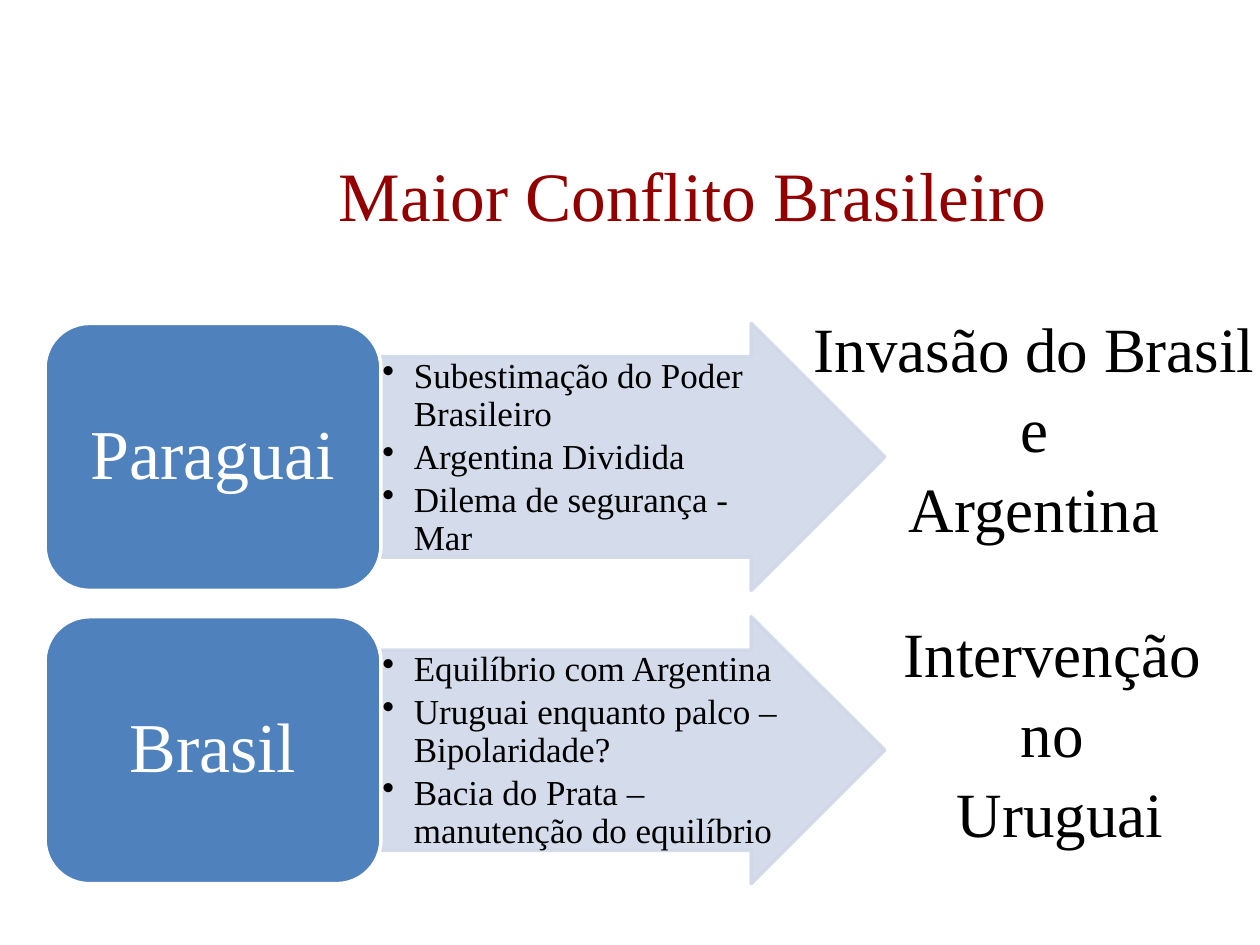
from lxml.etree import SubElement
from pptx import Presentation
from pptx.dml.color import RGBColor
from pptx.enum.shapes import MSO_SHAPE
from pptx.enum.text import MSO_ANCHOR, MSO_AUTO_SIZE, PP_ALIGN
from pptx.oxml.ns import qn
from pptx.util import Pt

FONT = "Times New Roman"
ROW_TOP, ROW_PITCH, ROW_HEIGHT = 184.8, 167.6, 152.6
ROWS = [
    ("Paraguai", ["Subestimação do Poder Brasileiro", "Argentina Dividida", "Dilema de segurança - Mar"]),
    ("Brasil", ["Equilíbrio com Argentina", "Uruguai enquanto palco – Bipolaridade?",
                "Bacia do Prata – manutenção do equilíbrio"]),
]
OUTCOMES = [
    ((456.5, 170.6, 278, 138.2), ["Invasão do Brasil ", "e ", "Argentina "]),
    ((508.3, 344.9, 195, 138.2), ["Intervenção ", "no ", "Uruguai"]),
]


def color(value):
    """Turn a hex string into a colour."""
    return RGBColor.from_string(value)


def place(lengths):
    """Turn point values into lengths."""
    return [Pt(length) for length in lengths]


def set_margins(frame, side, vertical):
    """Set the inner margins of a text frame."""
    frame.margin_left = frame.margin_right = Pt(side)
    frame.margin_top = frame.margin_bottom = Pt(vertical)


def write_lines(frame, lines, size, hex_color, align=PP_ALIGN.CENTER, spacing=None):
    """Write one paragraph per line with a shared format."""
    for index, line in enumerate(lines):
        para = frame.add_paragraph() if index else frame.paragraphs[0]
        para.alignment = align
        para.line_spacing = spacing
        span = para.add_run()
        span.text = line
        span.font.name = FONT
        span.font.size = Pt(size)
        span.font.color.rgb = color(hex_color)


def add_bullet(para, indent):
    """Give a paragraph a hanging round bullet."""
    properties = para._p.get_or_add_pPr()
    properties.set("marL", str(Pt(indent)))
    properties.set("indent", str(-Pt(indent)))
    SubElement(properties, qn("a:buChar"), char="•")


def add_shape(page, preset, lengths, fill, line):
    """Add a filled preset shape with a two-point outline."""
    shape = page.shapes.add_shape(preset, *place(lengths))
    shape.shadow.inherit = False
    shape.fill.solid()
    shape.fill.fore_color.rgb = color(fill)
    shape.line.color.rgb = color(line)
    shape.line.width = Pt(2)
    return shape


def add_arrow(page, top):
    """Add a translucent arrow for one row."""
    arrow = add_shape(page, MSO_SHAPE.RIGHT_ARROW, (217.6, top, 288, ROW_HEIGHT), "D0D8E8", "D0D8E8")
    arrow.adjustments[0] = 0.75
    arrow.adjustments[1] = 0.5
    for tint in arrow._element.spPr.iter(qn("a:srgbClr")):
        SubElement(tint, qn("a:alpha"), val="90000")


def add_points(page, top, points):
    """Add the bulleted list that lies on an arrow."""
    box = page.shapes.add_textbox(*place((217.6, top + ROW_HEIGHT / 8, 231, ROW_HEIGHT * 0.75)))
    frame = box.text_frame
    frame.word_wrap = True
    set_margins(frame, 0.9, 0.9)
    write_lines(frame, points, 20, "000000", PP_ALIGN.LEFT, 0.9)
    for para in frame.paragraphs:
        para.space_after = Pt(3)
        add_bullet(para, 18)


def add_country(page, top, name):
    """Add the rounded label of one row."""
    label = add_shape(page, MSO_SHAPE.ROUNDED_RECTANGLE, (25.7, top, 192, ROW_HEIGHT), "4F81BD", "FFFFFF")
    frame = label.text_frame
    frame.vertical_anchor = MSO_ANCHOR.MIDDLE
    set_margins(frame, 12, 6)
    write_lines(frame, [name], 40, "FFFFFF", spacing=0.9)


def add_outcome(page, lengths, lines):
    """Add an unwrapped, centred outcome text."""
    frame = page.shapes.add_textbox(*place(lengths)).text_frame
    frame.word_wrap = False
    frame.auto_size = MSO_AUTO_SIZE.SHAPE_TO_FIT_TEXT
    write_lines(frame, lines, 36, "000000", spacing=1.06)


def add_title(page, text):
    """Place and fill the title placeholder."""
    title = page.shapes.title
    title.left, title.top, title.width, title.height = place((72, 82.8, 648, 55.4))
    title.text_frame.vertical_anchor = MSO_ANCHOR.MIDDLE
    write_lines(title.text_frame, [text], 39.6, "920000")


def main():
    """Build and save the slide."""
    deck = Presentation()
    deck.slide_width, deck.slide_height = Pt(720), Pt(540)
    page = deck.slides.add_slide(deck.slide_layouts[5])
    for index, (country, points) in enumerate(ROWS):
        top = ROW_TOP + index * ROW_PITCH
        add_arrow(page, top)
        add_points(page, top, points)
        add_country(page, top, country)
    for lengths, lines in OUTCOMES:
        add_outcome(page, lengths, lines)
    add_title(page, "Maior Conflito Brasileiro")
    deck.save("out.pptx")


if __name__ == "__main__":
    main()
